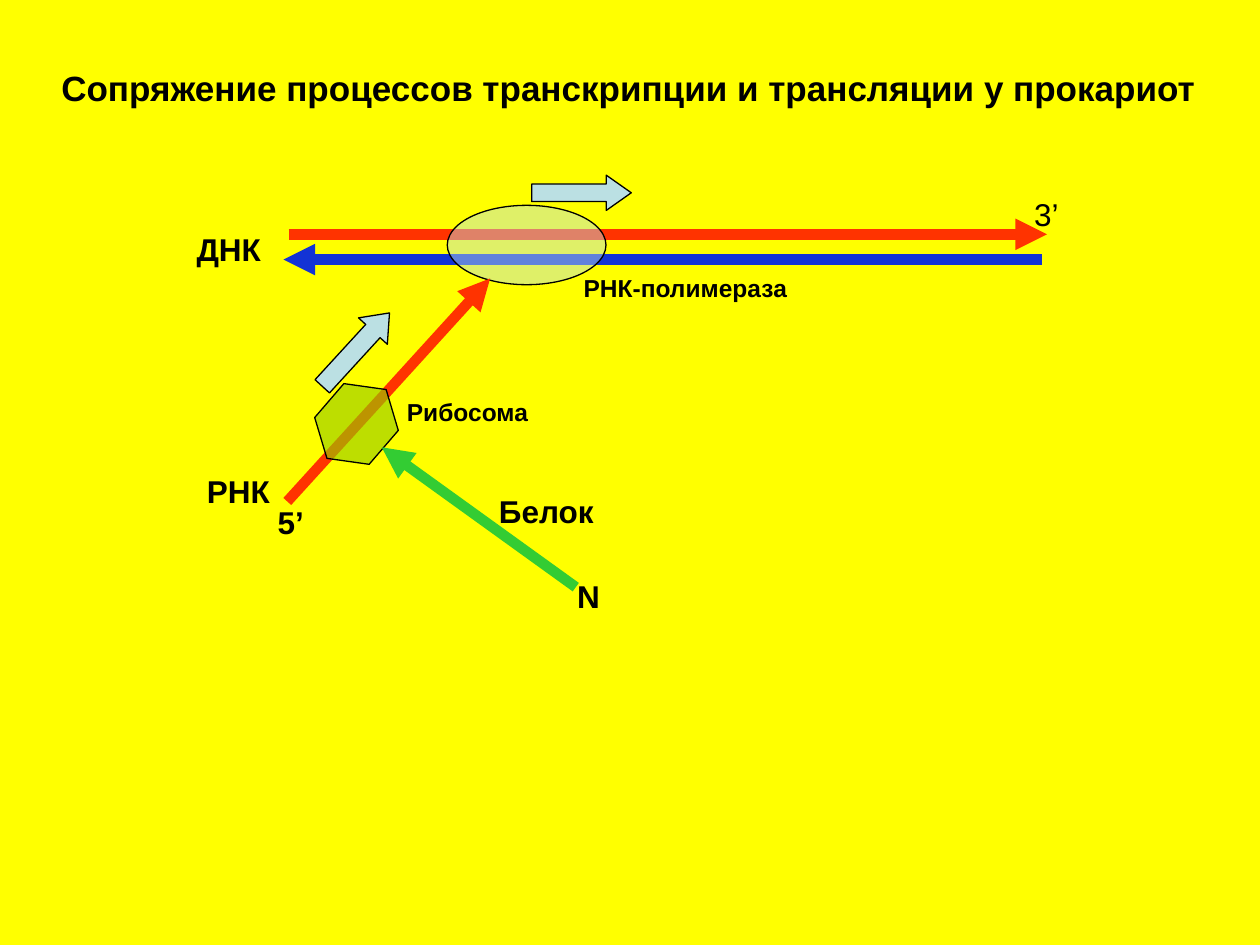
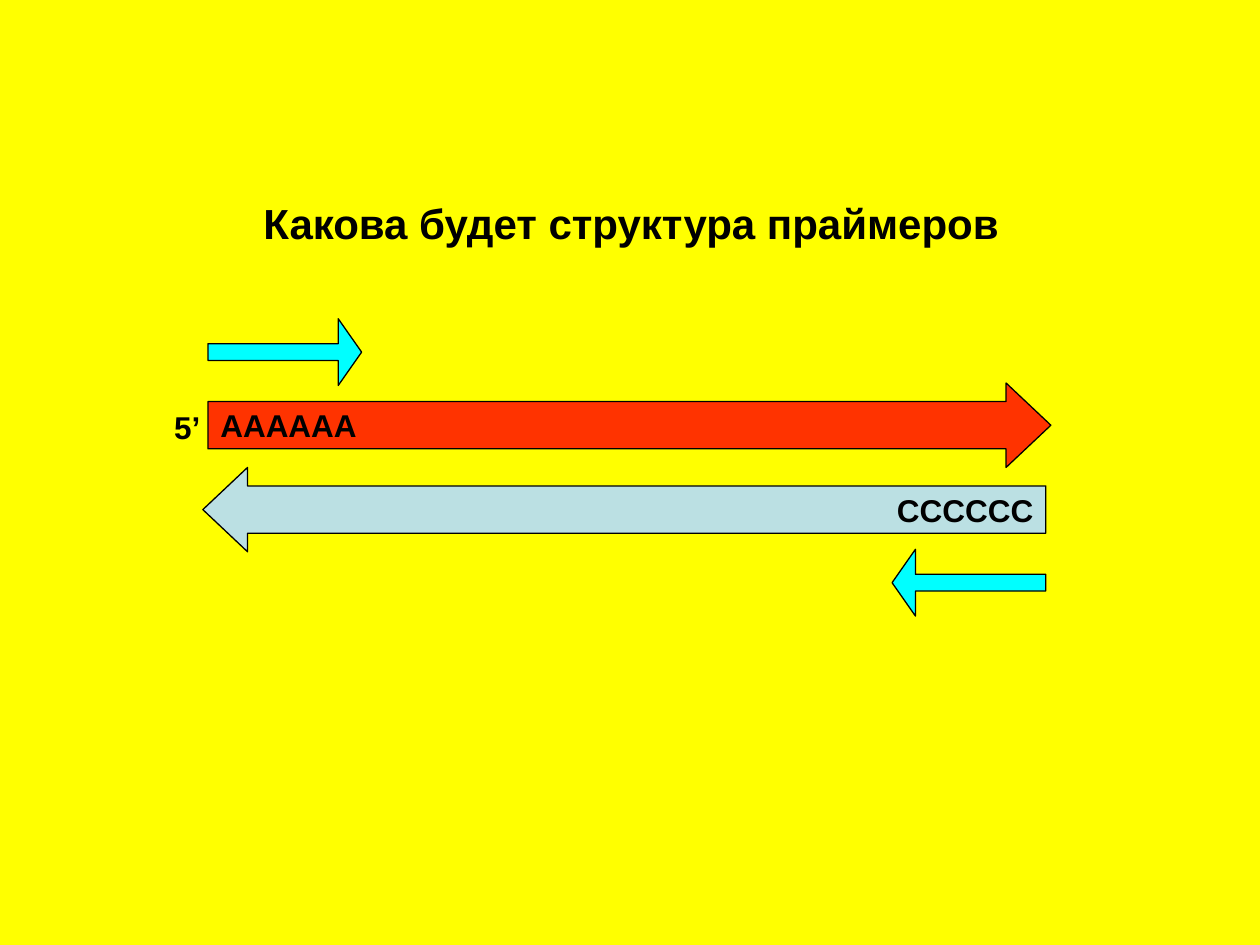
from dataclasses import dataclass

from lxml import etree
from pptx import Presentation
from pptx.dml.color import RGBColor
from pptx.enum.shapes import MSO_CONNECTOR, MSO_SHAPE as Shape
from pptx.enum.text import MSO_ANCHOR, MSO_AUTO_SIZE, PP_ALIGN as Align
from pptx.oxml.ns import qn
from pptx.util import Pt

PX = 9144  # 100 px to the inch
BLANK = 6


@dataclass(frozen=True)
class Theme:
    font: str = "Arial"
    background: str = "FFFF00"
    ink: str = "000000"
    sense: str = "FF3300"
    antisense: str = "1333D5"
    protein: str = "33CC33"
    pale: str = "BBE0E3"
    ribosome: str = "99CC00"
    primer: str = "00FFFF"
    question: int = 24
    title: int = 20
    label: int = 18
    small: int = 14
    outline: float = 0.75
    strand: int = 6


THEME = Theme()


def rgb(color):
    return RGBColor.from_string(color)


def write(shape, text, size, align, bold=True):
    """Put one unwrapped line of text into a shape."""
    frame = shape.text_frame
    frame.text = text
    frame.word_wrap = False
    line = frame.paragraphs[0]
    line.alignment = align
    font = line.runs[0].font
    font.name, font.size, font.bold = THEME.font, Pt(size), bold
    font.color.rgb = rgb(THEME.ink)


class Region:
    """A part of a slide whose pieces are placed from its own left top corner."""

    def __init__(self, shapes, left, top):
        self.shapes, self.left, self.top = shapes, left, top

    def point(self, x, y):
        return (self.left + x) * PX, (self.top + y) * PX

    def label(self, text, x, y, width, height=40, size=THEME.label,
              align=Align.RIGHT, bold=True):
        box = self.shapes.add_textbox(*self.point(x, y), width * PX, height * PX)
        write(box, text, size, align, bold)
        box.text_frame.auto_size = MSO_AUTO_SIZE.SHAPE_TO_FIT_TEXT

    def strand(self, start, end, color):
        """Draw a thick line with an arrowhead at its end."""
        line = self.shapes.add_connector(
            MSO_CONNECTOR.STRAIGHT, *self.point(*start), *self.point(*end))
        line.line.color.rgb = rgb(color)
        line.line.width = Pt(THEME.strand)
        etree.SubElement(line.line._get_or_add_ln(), qn("a:tailEnd"), type="triangle")
        etree.SubElement(line._element.spPr, qn("a:effectLst"))

    def figure(self, kind, x, y, width, height, color, adjust=(), turn=0, alpha=100):
        figure = self.shapes.add_shape(
            kind, *self.point(x, y), width * PX, height * PX)
        figure.shadow.inherit = False
        figure.rotation = turn
        for index, value in enumerate(adjust):
            figure.adjustments[index] = value
        figure.fill.solid()
        figure.fill.fore_color.rgb = rgb(color)
        if alpha < 100:
            tint = figure._element.spPr.find(f"{qn('a:solidFill')}/{qn('a:srgbClr')}")
            etree.SubElement(tint, qn("a:alpha"), val=str(alpha * 1000))
        figure.line.color.rgb = rgb(THEME.ink)
        figure.line.width = Pt(THEME.outline)
        return figure


def add_slide(deck):
    slide = deck.slides.add_slide(deck.slide_layouts[BLANK])
    slide.background.fill.solid()
    slide.background.fill.fore_color.rgb = rgb(THEME.background)
    return slide.shapes


def add_title(shapes, text, left, top, width, height, size):
    Region(shapes, left, top).label(text, 0, 0, width, height, size, Align.CENTER)


def add_group(shapes, left, top):
    return Region(shapes.add_group_shape().shapes, left, top)


def draw_transcription(shapes, left, top):
    """DNA with the polymerase moving along it."""
    dna = add_group(shapes, left, top)
    dna.strand((83, 47), (685, 47), THEME.sense)
    dna.strand((681, 67), (79, 67), THEME.antisense)
    dna.figure(Shape.OVAL, 209, 24, 126, 63, THEME.pale, alpha=46)
    dna.label("ДНК", 0, 39, 71)
    dna.label("3’", 662, 11, 42, bold=False)
    dna.label("РНК-полимераза", 307, 73, 182, 34, THEME.small, Align.CENTER)
    dna.figure(Shape.RIGHT_ARROW, 276, 0, 79, 28, THEME.pale, (0.5, 0.71))


def draw_translation(shapes, left, top):
    """RNA with the ribosome moving along it."""
    rna = add_group(shapes, left, top)
    rna.strand((74, 177), (235, 0), THEME.sense)
    rna.label("РНК", 0, 149, 70)
    rna.label("5’", 56, 173, 41)
    rna.figure(Shape.HEXAGON, 93, 87, 72, 57, THEME.ribosome, (0.32,), 310.7, 64)
    rna.label("Рибосома", 158, 89, 117, 34, THEME.small)
    rna.figure(Shape.RIGHT_ARROW, 89, 41, 79, 31, THEME.pale, (0.5, 0.63), 312.5)


def draw_protein(shapes, left, top):
    protein = Region(shapes, left, top)
    protein.strand((154, 111), (0, 0), THEME.protein)
    protein.label("N", 145, 98, 38)
    protein.label("Белок", 83, 31, 95)


def draw_primers(shapes, left, top):
    """Two opposite strands, each with a primer at its beginning."""
    strand_w, strand_h, primer_w, primer_h = 669, 67, 122, 53
    shift, first = 4, 51
    pair = add_group(shapes, left, top)
    strands = (
        (Shape.RIGHT_ARROW, shift, THEME.sense, "AAAAAA", Align.LEFT),
        (Shape.LEFT_ARROW, 0, THEME.pale, "CCCCCC", Align.RIGHT),
    )
    for row, (kind, x, color, bases, align) in enumerate(strands):
        strand = pair.figure(kind, x, first + row * strand_h, strand_w, strand_h,
                             color, (0.56, 0.53))
        write(strand, bases, THEME.label, align)
        strand.text_frame.vertical_anchor = MSO_ANCHOR.MIDDLE
    primers = (
        (Shape.RIGHT_ARROW, shift, 0),
        (Shape.LEFT_ARROW, strand_w - primer_w, first + 2 * strand_h - 2),
    )
    for kind, x, y in primers:
        pair.figure(kind, x, y, primer_w, primer_h, THEME.primer, (0.25, 0.35))
    Region(shapes, left, top).label("5’", -33, 66, 41)


def build_coupling_slide(deck):
    shapes = add_slide(deck)
    add_title(shapes, "Сопряжение процессов транскрипции и трансляции у прокариот",
              38, 48, 922, 44, THEME.title)
    draw_transcription(shapes, 146, 139)
    draw_translation(shapes, 154, 221)
    draw_protein(shapes, 303, 355)


def build_primer_slide(deck):
    shapes = add_slide(deck)
    draw_primers(shapes, 161, 253)
    add_title(shapes, "Какова будет структура праймеров",
              198, 152, 606, 50, THEME.question)


def main():
    deck = Presentation()
    deck.slide_width, deck.slide_height = 1000 * PX, 750 * PX
    build_coupling_slide(deck)
    build_primer_slide(deck)
    deck.save("out.pptx")


if __name__ == "__main__":
    main()
